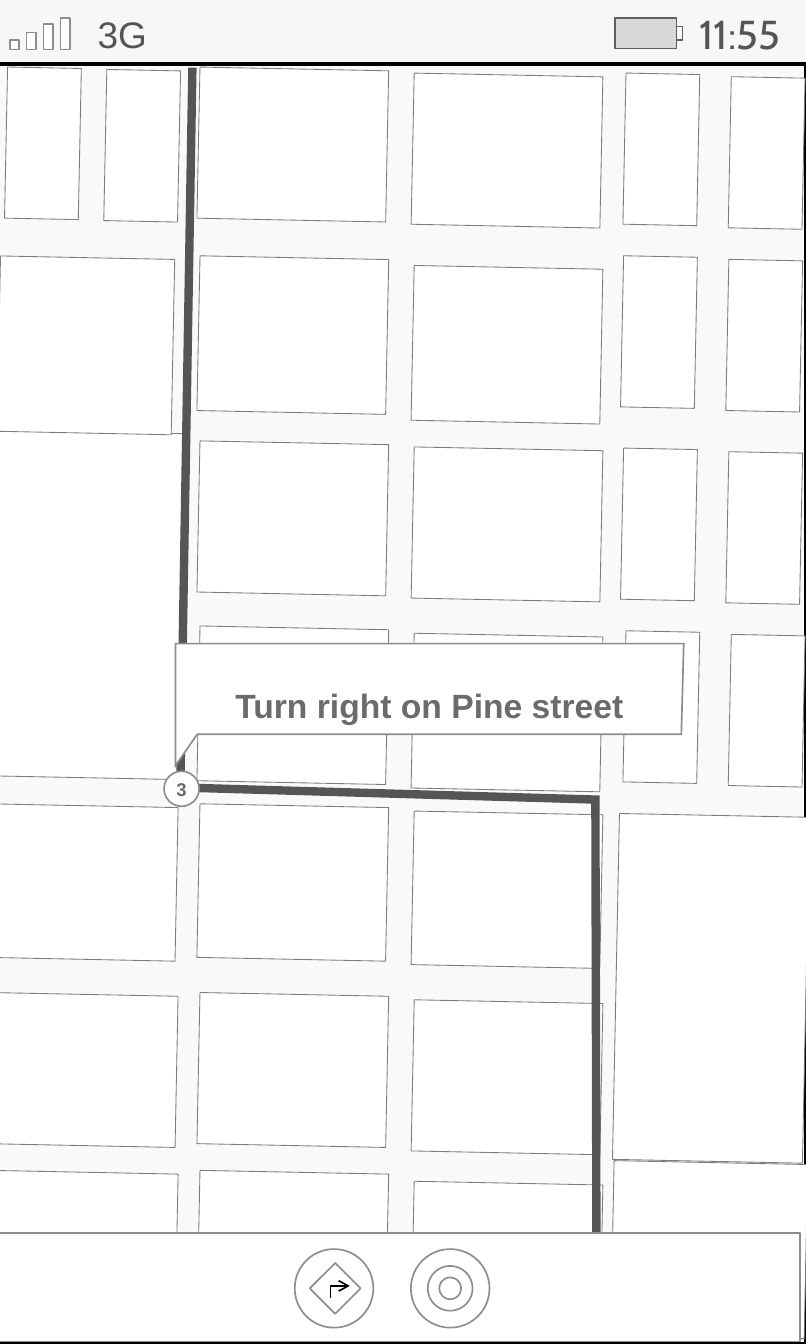
from lxml import etree
from pptx import Presentation
from pptx import util as u
from pptx.dml.color import RGBColor
from pptx.enum import shapes, text
from pptx.oxml import ns

SHAPE = shapes.MSO_SHAPE
ALIGN = text.PP_ALIGN
WHITE, BLACK = "FFFFFF", "000000"
OUTLINE, DARK, LABEL = "8D8D8D", "555555", "6B6B6B"
BLOCK_EDGE, BATTERY_EDGE = "7C7C7C", "5E5E5E"
TILT = 1.15
BLOCK_WIDTH, NARROW_WIDTH, NARROW_HEIGHT = 1.56, 0.61, 1.25

# Height, top in the second column, top in the third column
BLOCK_ROWS = [
    (1.25, 0.57, 0.62), (1.28, 2.13, 2.21), (1.25, 3.66, 3.71),
    (1.28, 5.19, 5.25), (1.27, 6.66, 6.72), (1.25, 8.22, 8.28),
    (1.27, 9.69, 9.78),
]
FIRST_SOUTH_ROW = 4
NARROW_ROWS = [(5.16, 0.61), (5.14, 2.12), (5.14, 3.71), (5.16, 5.22)]
SINGLE_BLOCKS = [
    (-0.04, 3.57, 1.56, 2.86), (-0.01, 2.13, 1.44, 1.45),
    (0.87, 0.58, 0.61, 1.25), (0.05, 0.56, 0.61, 1.25),
    (5.09, 6.74, 1.57, 2.86), (5.06, 9.61, 1.60, 1.44),
]


def rgb(value):
    return RGBColor.from_string(value)


class Screen:
    """Holds the current slide and the style shared by its elements."""

    def __init__(self, slide, font="Arial"):
        self.slide = slide
        self.font = font

    def paint(self, shape, fill, line, weight):
        shape.shadow.inherit = False
        if fill:
            shape.fill.solid()
            shape.fill.fore_color.rgb = rgb(fill)
        else:
            shape.fill.background()
        shape.line.color.rgb = rgb(line)
        shape.line.width = u.Pt(weight)

    def shape(self, kind, left, top, width, height, fill=WHITE, line=OUTLINE, weight=1):
        shape = self.slide.shapes.add_shape(
            kind, u.Inches(left), u.Inches(top), u.Inches(width), u.Inches(height))
        self.paint(shape, fill, line, weight)
        return shape

    def disc(self, center_x, center_y, size):
        return self.shape(SHAPE.OVAL, center_x - size / 2, center_y - size / 2, size, size)

    def block(self, left, top, width, height):
        """Add one tilted city block."""
        block = self.shape(SHAPE.RECTANGLE, left, top, width, height, WHITE, BLOCK_EDGE, 0.5)
        block.rotation = TILT

    def outline(self, points, fill=None, line=OUTLINE, weight=1, closed=False, arrow=False):
        """Draw straight segments through the points, with sharp corners."""
        corners = [(u.Inches(x), u.Inches(y)) for x, y in points]
        builder = self.slide.shapes.build_freeform(*corners[0])
        builder.add_line_segments(corners[1:], close=closed)
        shape = builder.convert_to_shape()
        self.paint(shape, fill, line, weight)
        stroke = shape.element.spPr.find(ns.qn("a:ln"))
        etree.SubElement(stroke, ns.qn("a:miter"), lim="800000")
        if arrow:
            etree.SubElement(stroke, ns.qn("a:tailEnd"), type="arrow")
        return shape

    def set_text(self, shape, words, size, color, bold=False, align=ALIGN.CENTER,
                 font=None, inset=0, wrap=True):
        frame = shape.text_frame
        frame.text = words
        frame.word_wrap = wrap
        frame.vertical_anchor = text.MSO_ANCHOR.MIDDLE
        frame.margin_left = frame.margin_right = u.Inches(inset)
        frame.margin_top = frame.margin_bottom = u.Inches(inset)
        paragraph = frame.paragraphs[0]
        paragraph.alignment = align
        run = paragraph.runs[0]
        run.font.name = font or self.font
        run.font.size = u.Pt(size)
        run.font.bold = bold
        run.font.color.rgb = rgb(color)

    def label(self, left, top, width, height, words, size, **style):
        box = self.slide.shapes.add_textbox(
            u.Inches(left), u.Inches(top), u.Inches(width), u.Inches(height))
        self.set_text(box, words, size, DARK, **style)


def draw_status_bar(screen):
    screen.label(0.64, -0.06, 0.74, 0.68, "3G", 22)
    screen.label(5.78, 0.02, 0.89, 0.51, "11:55", 24,
                 font="Cabin", align=ALIGN.LEFT, wrap=False)
    screen.shape(SHAPE.RECTANGLE, 5.5, 0.22, 0.14, 0.11, None, BATTERY_EDGE)
    screen.shape(SHAPE.RECTANGLE, 5.08, 0.15, 0.51, 0.25, "D8D8D8", BATTERY_EDGE)
    for index, height in enumerate((0.08, 0.14, 0.21, 0.26)):
        screen.shape(SHAPE.RECTANGLE, 0.08 + 0.14 * index, 0.41 - height, 0.08, height)


def draw_map(screen):
    screen.shape(SHAPE.RECTANGLE, -0.11, 0.53, 6.77, 10.58, "F9F9F9", BLACK, 2)
    for block in SINGLE_BLOCKS:
        screen.block(*block)
    for row, (height, second_top, third_top) in enumerate(BLOCK_ROWS):
        screen.block(1.64, second_top, BLOCK_WIDTH, height)
        screen.block(3.41, third_top, BLOCK_WIDTH, height)
        if row >= FIRST_SOUTH_ROW:
            screen.block(-0.1, second_top, BLOCK_WIDTH, height)
    for left, top in NARROW_ROWS:
        screen.block(left, top, NARROW_WIDTH, NARROW_HEIGHT)
        screen.block(left + 0.87, top + 0.03, NARROW_WIDTH, NARROW_HEIGHT)
    screen.outline([(1.59, 0.56), (1.49, 6.51), (4.92, 6.61), (4.93, 11.03)],
                   line=DARK, weight=5)


def draw_toolbar(screen):
    screen.shape(SHAPE.RECTANGLE, -0.11, 10.19, 6.72, 0.9)
    screen.disc(2.76, 10.65, 0.65)
    screen.shape(SHAPE.DIAMOND, 2.56, 10.44, 0.42, 0.42)
    screen.outline([(2.73, 10.73), (2.73, 10.63), (2.89, 10.63)], line=BLACK, arrow=True)
    for size in (0.65, 0.37, 0.18):
        screen.disc(3.72, 10.65, size)


def draw_direction(screen):
    callout = screen.outline(
        [(5.65, 5.32), (1.45, 5.32), (1.45, 6.33), (1.63, 6.07), (5.63, 6.07)],
        fill=WHITE, closed=True)
    screen.set_text(callout, "Turn right on Pine street", 20, LABEL, bold=True, inset=0.17)
    step = screen.disc(1.5, 6.52, 0.29)
    screen.set_text(step, "3", 11, LABEL, bold=True)


def main():
    presentation = Presentation()
    presentation.slide_width = u.Inches(6.66)
    presentation.slide_height = u.Inches(11.11)
    slide = presentation.slides.add_slide(presentation.slide_layouts[6])
    slide.background.fill.solid()
    slide.background.fill.fore_color.rgb = rgb("F7F7F7")
    screen = Screen(slide)
    draw_status_bar(screen)
    draw_map(screen)
    draw_toolbar(screen)
    draw_direction(screen)
    presentation.save("out.pptx")


if __name__ == "__main__":
    main()
